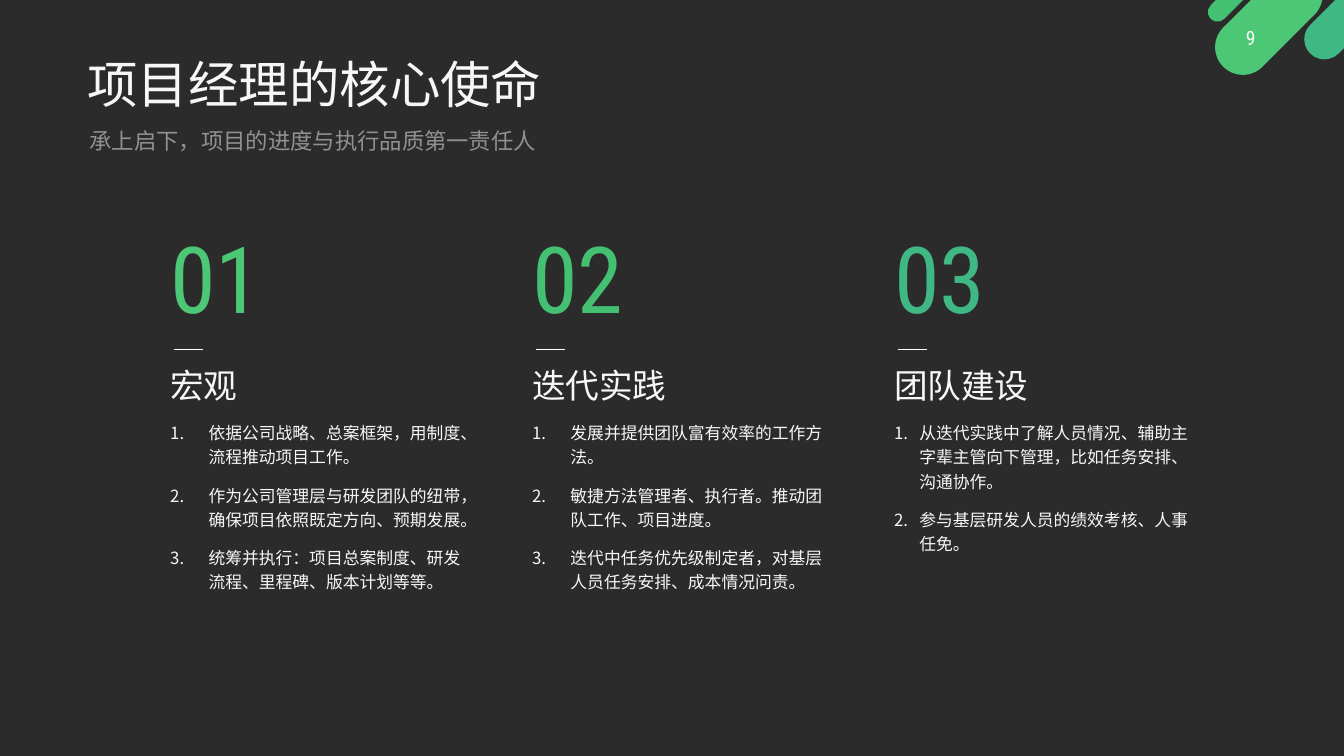
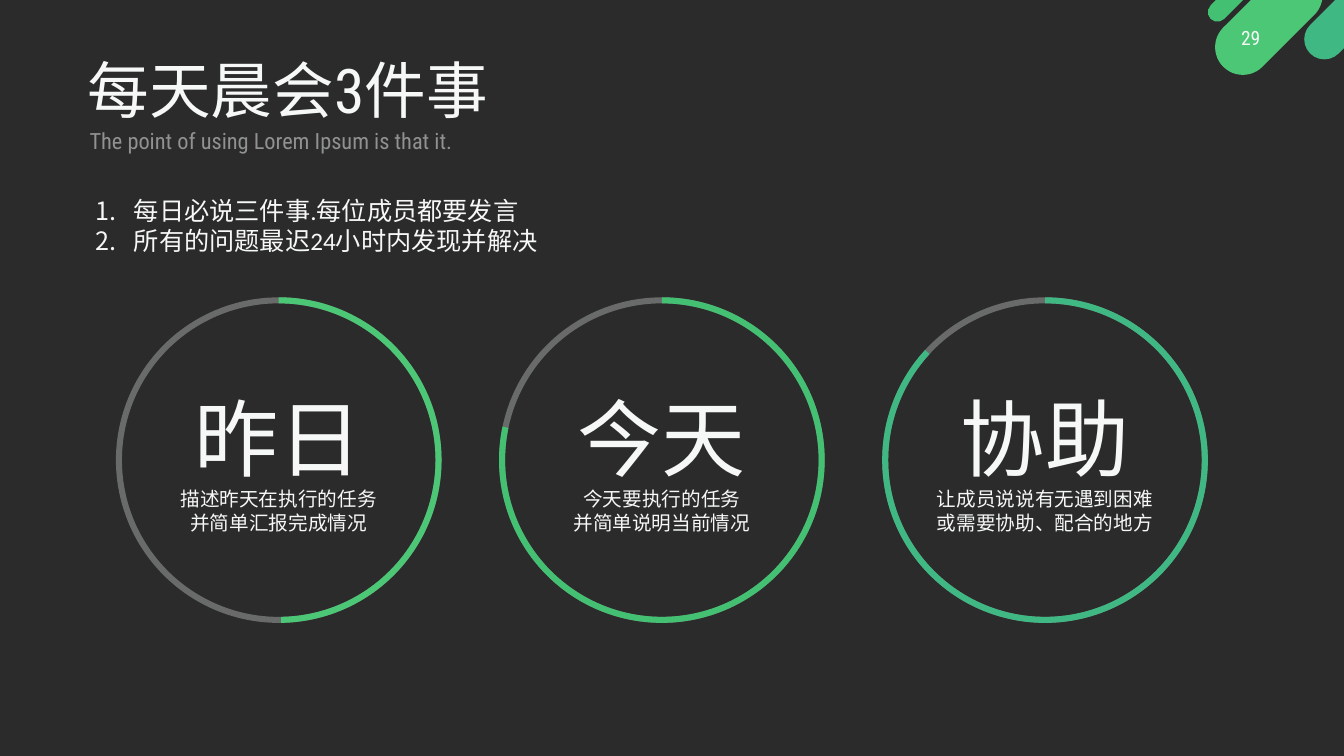
from lxml import etree
from pptx import Presentation
from pptx.dml.color import RGBColor
from pptx.enum import lang, shapes, text
from pptx.oxml import ns
from pptx.util import Inches, Pt

DARK = RGBColor(0x2B, 0x2B, 0x2B)
PALE = RGBColor(0xF6, 0xF8, 0xF8)
RING = RGBColor(0xFB, 0xFC, 0xFC)
RULE = RGBColor(0xFE, 0xFF, 0xFF)
LIME = RGBColor(0x4C, 0xC7, 0x76)
GREEN = RGBColor(0x44, 0xC0, 0x72)
TEAL = RGBColor(0x40, 0xB8, 0x84)
ACCENTS = [LIME, GREEN, TEAL]
CONDENSED = "Roboto Condensed"
SHAPE = shapes.MSO_SHAPE
CENTER = text.PP_ALIGN.CENTER


def paint(fill, color, opacity=100):
    """Fill with a solid colour, opacity in percent."""
    fill.solid()
    fill.fore_color.rgb = color
    if opacity < 100:
        holder = fill._xPr.find(".//" + ns.qn("a:srgbClr"))
        etree.SubElement(holder, ns.qn("a:alpha"), val=str(opacity * 1000))


def write(box, lines, size, font=CONDENSED, color=PALE, opacity=100, hang=0, **layout):
    """Add lines as paragraphs; a hanging indent makes them a numbered list."""
    frame = box.text_frame
    for line in lines:
        para = frame.paragraphs[0]
        if para.runs:
            para = frame.add_paragraph()
        for name, value in layout.items():
            setattr(para, name, value)
        span = para.add_run()
        span.text = line
        style = {"size": Pt(size), "name": font,
                 "language_id": lang.MSO_LANGUAGE_ID.SIMPLIFIED_CHINESE}
        for name, value in style.items():
            setattr(span.font, name, value)
        paint(span.font.fill, color, opacity)
        if hang:
            props = para._p.get_or_add_pPr()
            props.set("marL", str(Inches(hang)))
            props.set("indent", str(Inches(-hang)))
            etree.SubElement(props, ns.qn("a:buFont"), typeface="+mj-ea")
            etree.SubElement(props, ns.qn("a:buAutoNum"), type="arabicPeriod")


deck = Presentation()
deck.slide_width, deck.slide_height = Inches(13.33), Inches(7.5)
paint(deck.slide_master.background.fill, DARK)

# Shared frame: corner pills, page number, title and subtitle
PILLS = [
    (12.31, -0.43, 0.55, 1.28, LIME),
    (13.13, -0.28, 0.4, 0.95, TEAL),
    (12.11, -0.29, 0.19, 0.56, GREEN),
]
HEADINGS = [
    ("9", "项目经理的核心使命", 36, "承上启下，项目的进度与执行品质第一责任人"),
    ("29", "每天晨会3件事", 44, "The point of using Lorem Ipsum is that it."),
]
pages = []
for number, title, title_size, subtitle in HEADINGS:
    page = deck.slides.add_slide(deck.slide_layouts[6])
    pages.append(page)
    for left, top, width, height, color in PILLS:
        pill = page.shapes.add_shape(SHAPE.ROUNDED_RECTANGLE, Inches(left), Inches(top),
                                     Inches(width), Inches(height))
        pill.adjustments[0] = 0.5
        pill.rotation = 45
        pill.shadow.inherit = False
        pill.line.fill.background()
        paint(pill.fill, color)

    box = page.shapes.add_textbox(Inches(12.2), Inches(0.19), Inches(0.41), Inches(0.36))
    box.text_frame.word_wrap = False
    box.text_frame.vertical_anchor = text.MSO_ANCHOR.MIDDLE
    write(box, [number], 14, alignment=CENTER)

    box = page.shapes.add_textbox(Inches(0.77), Inches(0.55), Inches(9.74), Inches(0.83))
    box.text_frame.word_wrap = True
    write(box, [title], title_size, line_spacing=0.9)

    box = page.shapes.add_textbox(Inches(0.79), Inches(1.24), Inches(8.17), Inches(0.28))
    box.text_frame.word_wrap = True
    write(box, [subtitle], 16, opacity=50, line_spacing=0.9, space_before=Pt(10))

mission, standup = pages

# Three numbered columns
COLUMNS = [
    ("宏观", 0.38, "Roboto", [
        "依据公司战略、总案框架，用制度、流程推动项目工作。",
        "作为公司管理层与研发团队的纽带，确保项目依照既定方向、预期发展。",
        "统筹并执行：项目总案制度、研发流程、里程碑、版本计划等等。",
    ]),
    ("迭代实践", 0.38, CONDENSED, [
        "发展并提供团队富有效率的工作方法。",
        "敏捷方法管理者、执行者。推动团队工作、项目进度。",
        "迭代中任务优先级制定者，对基层人员任务安排、成本情况问责。",
    ]),
    ("团队建设", 0.25, CONDENSED, [
        "从迭代实践中了解人员情况、辅助主字辈主管向下管理，比如任务安排、沟通协作。",
        "参与基层研发人员的绩效考核、人事任免。",
    ]),
]
HEAD_LAYOUT = {"line_spacing": Pt(17.8), "space_before": Pt(4)}
for index, (heading, hang, font, duties) in enumerate(COLUMNS):
    left = 1.59 + 3.59 * index
    box = mission.shapes.add_textbox(Inches(left), Inches(3.72), Inches(3.23), Inches(2.98))
    box.text_frame.word_wrap = True
    write(box, [heading], 24, **HEAD_LAYOUT)
    write(box, duties, 12, font, hang=hang, line_spacing=1.2, space_before=Pt(10))

    box = mission.shapes.add_textbox(Inches(left), Inches(3), Inches(1.62), Inches(0.37))
    box.text_frame.word_wrap = True
    write(box, [f"{index + 1:02}"], 66, color=ACCENTS[index], **HEAD_LAYOUT)

    rule = mission.shapes.add_connector(shapes.MSO_CONNECTOR.STRAIGHT, Inches(left + 0.14),
                                        Inches(3.47), Inches(left + 0.42), Inches(3.47))
    rule.line.width = Pt(0.5)
    paint(rule.line.fill, RULE)
    etree.SubElement(rule._element.spPr, ns.qn("a:effectLst"))

# Three progress rings, each with the angle where its coloured arc starts
RINGS = [
    ("昨日", 90.85, ["描述昨天在执行的任务", "并简单汇报完成情况"]),
    ("今天", 348.12, ["今天要执行的任务", "并简单说明当前情况"]),
    ("协助", 317.43, ["让成员说说有无遇到困难", "或需要协助、配合的地方"]),
]
RING_SIZE = 3.23
THICKNESS = 0.06 / RING_SIZE
ANGLE_UNIT = 0.6  # 60000 units per degree over the 100000 of an adjustment
for index, (heading, start, details) in enumerate(RINGS):
    place = (Inches(1.15 + 3.8 * index), Inches(2.95), Inches(RING_SIZE), Inches(RING_SIZE))
    ring = standup.shapes.add_shape(SHAPE.DONUT, *place)
    ring.adjustments[0] = THICKNESS
    paint(ring.fill, RING, 30)
    frame = ring.text_frame
    frame.vertical_anchor = text.MSO_ANCHOR.MIDDLE
    for side in ("left", "top", "right", "bottom"):
        setattr(frame, "margin_" + side, 0)
    write(ring, [heading], 60, alignment=CENTER)
    write(ring, details, 14, alignment=CENTER)

    arc = standup.shapes.add_shape(SHAPE.BLOCK_ARC, *place)
    for spot, value in enumerate((start * ANGLE_UNIT, 270 * ANGLE_UNIT, THICKNESS)):
        arc.adjustments[spot] = value
    arc._element.spPr.xfrm.set("flipH", "1")
    paint(arc.fill, ACCENTS[index])
    for shape in (ring, arc):
        shape.shadow.inherit = False
        shape.line.fill.background()

box = standup.shapes.add_textbox(Inches(0.85), Inches(1.89), Inches(6.67), Inches(0.71))
box.text_frame.word_wrap = True
write(box, ["每日必说三件事.每位成员都要发言", "所有的问题最迟24小时内发现并解决"],
      18, "Calibri", hang=0.38)

deck.save("out.pptx")
